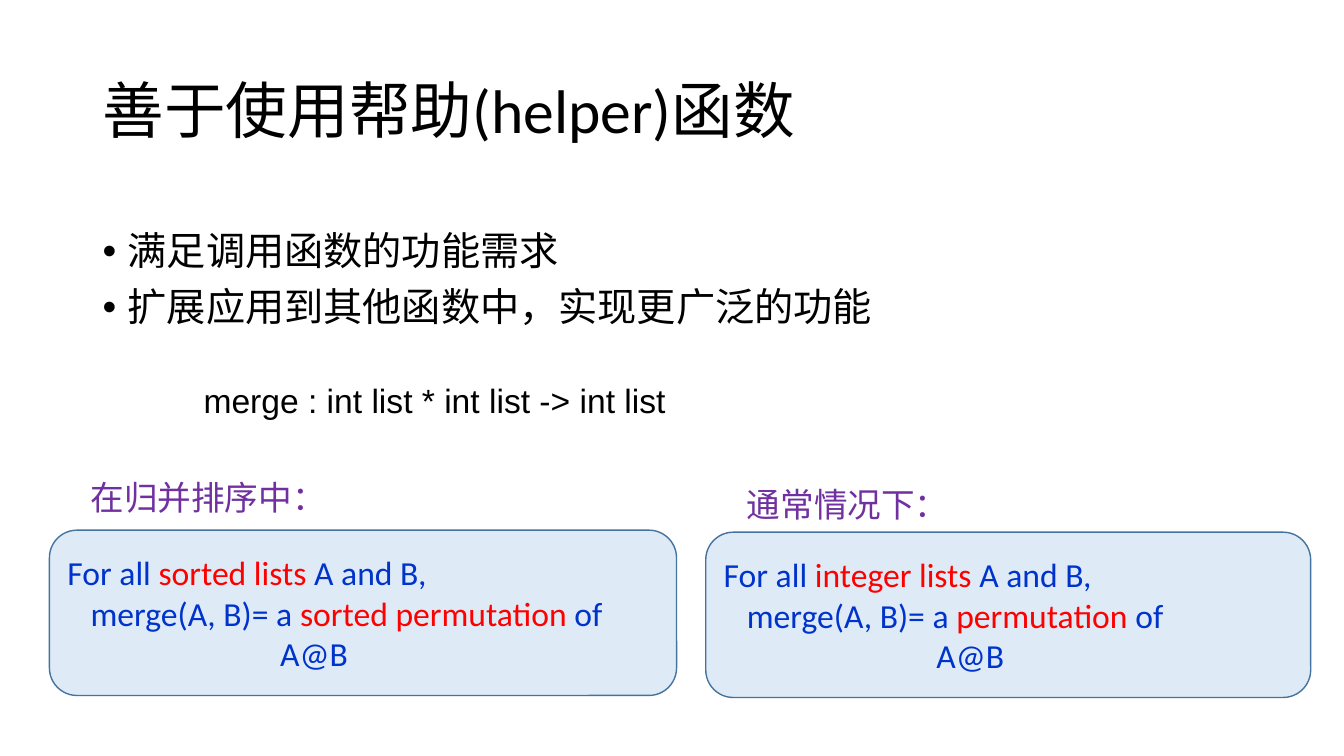
from dataclasses import dataclass

from lxml import etree
from pptx import Presentation
from pptx.dml.color import RGBColor
from pptx.enum.shapes import MSO_SHAPE
from pptx.enum.text import MSO_ANCHOR, PP_ALIGN
from pptx.oxml.ns import qn
from pptx.util import Inches, Pt

ROUND = MSO_SHAPE.ROUNDED_RECTANGLE
TOP, MIDDLE = MSO_ANCHOR.TOP, MSO_ANCHOR.MIDDLE
LEFT = PP_ALIGN.LEFT


@dataclass(frozen=True)
class Theme:
    ink: str = "000000"
    blue: str = "0033CC"
    red: str = "FF0000"
    violet: str = "7030A0"
    fill: str = "DEEBF6"
    edge: str = "43739E"
    latin: str = "Calibri"
    sans: str = "Arial"
    han: str = "Noto Sans CJK SC"
    head: int = 44
    body: int = 28
    note: int = 24


THEME = Theme()


def rgb(code):
    return RGBColor.from_string(code)


def write(para, text, size=THEME.note, color=THEME.ink, font=THEME.latin):
    """Add one formatted run to a paragraph."""
    run = para.add_run()
    run.text = text
    run.font.size = Pt(size)
    run.font.color.rgb = rgb(color)
    run.font.name = font
    # East Asian letters take their own face
    etree.SubElement(run.font._element, qn("a:ea"), typeface=THEME.han)


def indent(para, left, mark=None):
    """Set the left margin and, if given, a hanging bullet."""
    props = para._p.get_or_add_pPr()
    props.set("marL", str(Inches(left)))
    props.set("indent", str(-Inches(left) if mark else 0))
    if mark:
        etree.SubElement(props, qn("a:buFont"), typeface=THEME.sans)
        etree.SubElement(props, qn("a:buChar"), char=mark)


def frame(slide, box, anchor=TOP):
    """Add a wrapping text box and return its text frame."""
    area = slide.shapes.add_textbox(*map(Inches, box)).text_frame
    area.word_wrap = True
    area.vertical_anchor = anchor
    return area


def title(slide, box, text):
    para = frame(slide, box, MIDDLE).paragraphs[0]
    para.line_spacing = 0.9
    write(para, text, size=THEME.head)


def points(slide, box, items):
    area = frame(slide, box)
    for i, item in enumerate(items):
        para = area.add_paragraph() if i else area.paragraphs[0]
        indent(para, 0.25, "•")
        para.line_spacing = 0.9
        para.space_before = Pt(10 if i else 0)
        write(para, item, size=THEME.body, font=THEME.sans)


def typing(slide, box, text):
    para = frame(slide, box).paragraphs[0]
    indent(para, 1)
    write(para, text, font=THEME.sans)


def card(slide, box, label, rise, lines):
    """Draw a rounded card with a label that sits `rise` above its top."""
    left, top = box[:2]
    para = frame(slide, (left + 0.31, top - rise, 2.54, 0.51)).paragraphs[0]
    write(para, label, color=THEME.violet, font=THEME.han)

    shape = slide.shapes.add_shape(ROUND, *map(Inches, box))
    shape.shadow.inherit = False
    shape.fill.solid()
    shape.fill.fore_color.rgb = rgb(THEME.fill)
    shape.line.color.rgb = rgb(THEME.edge)
    shape.line.width = Pt(1)
    area = shape.text_frame
    area.word_wrap = True
    area.vertical_anchor = MIDDLE
    for i, (inset, *parts) in enumerate(lines):
        para = area.add_paragraph() if i else area.paragraphs[0]
        para.alignment = LEFT
        indent(para, inset)
        # Every second part is stressed
        for j, part in enumerate(parts):
            write(para, part, color=THEME.red if j % 2 else THEME.blue)


def claim(given, result):
    """Return the lines of a card: inset, then plain and stressed parts."""
    return [
        (0, "For all ", given, " A and B,"),
        (0.23, "merge(A, B)= a ", result, " of"),
        (2.11, "A@B"),
    ]


def main():
    deck = Presentation()
    deck.slide_width, deck.slide_height = Inches(13.33), Inches(7.5)
    slide = deck.slides.add_slide(deck.slide_layouts[6])

    # Heading and main points
    title(slide, (0.92, 0.4, 11.5, 1.45), "善于使用帮助(helper)函数")
    points(slide, (0.92, 2.25, 11.5, 1.23),
           ["满足调用函数的功能需求", "扩展应用到其他函数中，实现更广泛的功能"])
    typing(slide, (0.92, 3.72, 6.22, 0.5),
           "merge : int list * int list -> int list")

    # The two claims side by side
    card(slide, (0.49, 5.26, 6.22, 1.64), "在归并排序中：", 0.58,
         claim("sorted lists", "sorted permutation"))
    card(slide, (7, 5.28, 6, 1.64), "通常情况下：", 0.53,
         claim("integer lists", "permutation"))

    deck.save("out.pptx")


if __name__ == "__main__":
    main()
